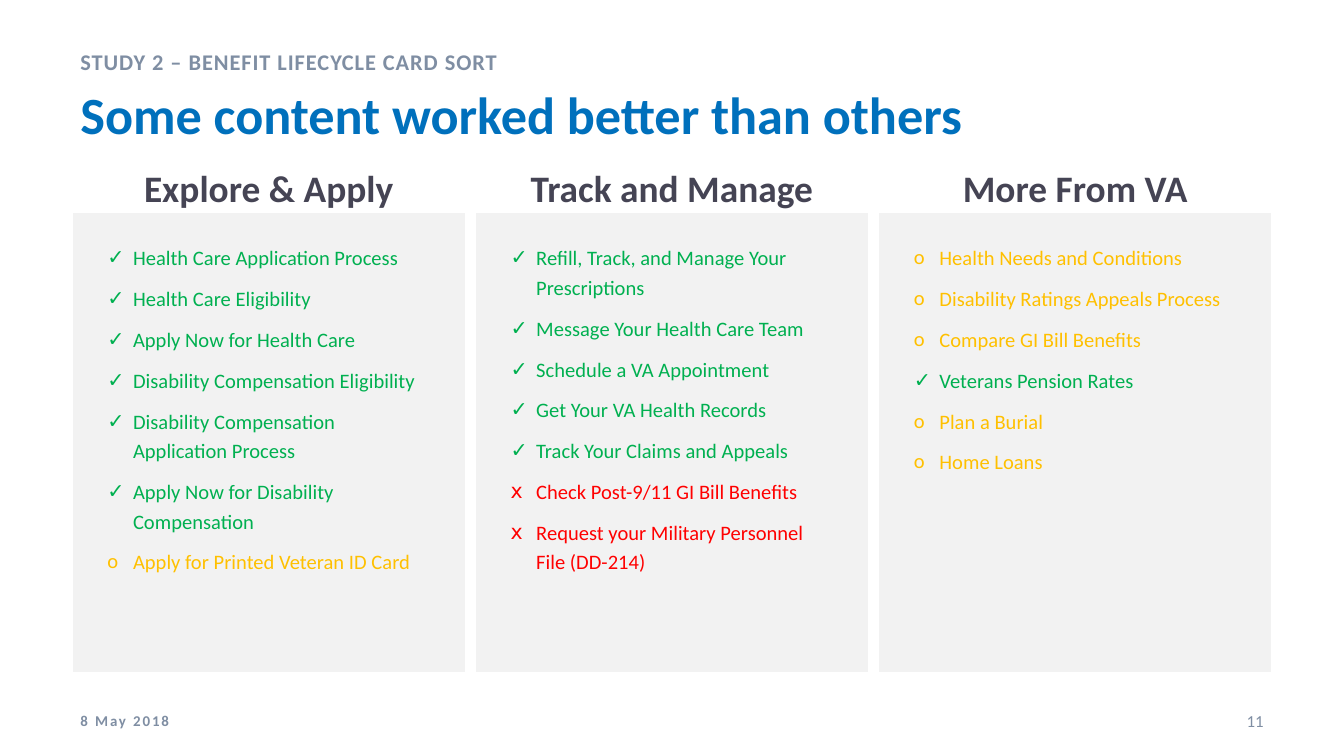
from dataclasses import dataclass
from enum import Enum
from typing import Optional

from lxml.etree import SubElement
from pptx import Presentation
from pptx.dml.color import RGBColor
from pptx.enum.shapes import MSO_SHAPE
from pptx.enum.text import MSO_ANCHOR, PP_ALIGN
from pptx.oxml.ns import qn
from pptx.util import Inches, Pt

FONT = "Calibri"
COLORS = {
    "title": "0070BC", "heading": "454454", "muted": "7F8EA3",
    "panel": "F2F2F2", "white": "FFFFFF",
    "green": "00B050", "amber": "FFC000", "red": "FF0000",
}

# Grid in inches on a 16:9 slide: three equal columns between the side margins
WIDTH, MARGIN = 10, 0.5
HEIGHT = WIDTH * 9 / 16
COL = (WIDTH - 2 * MARGIN) / 3
HEAD_TOP, PANEL_TOP, FOOT_TOP = 1.15, 1.54, 5.21
INDENT = 0.19


class Result(Enum):
    """Bullet mark and colour of a card."""
    GOOD = ("✓", "green")
    MIXED = ("o", "amber")
    BAD = ("ⅹ", "red")


@dataclass
class Group:
    heading: str
    cards: list[tuple[Result, str]]


GOOD, MIXED, BAD = Result.GOOD, Result.MIXED, Result.BAD
GROUPS = [
    Group("Explore & Apply", [
        (GOOD, "Health Care Application Process"),
        (GOOD, "Health Care Eligibility"),
        (GOOD, "Apply Now for Health Care"),
        (GOOD, "Disability Compensation Eligibility"),
        (GOOD, "Disability Compensation Application Process"),
        (GOOD, "Apply Now for Disability Compensation"),
        (MIXED, "Apply for Printed Veteran ID Card"),
    ]),
    Group("Track and Manage", [
        (GOOD, "Refill, Track, and Manage Your Prescriptions"),
        (GOOD, "Message Your Health Care Team"),
        (GOOD, "Schedule a VA Appointment"),
        (GOOD, "Get Your VA Health Records"),
        (GOOD, "Track Your Claims and Appeals"),
        (BAD, "Check Post-9/11 GI Bill Benefits"),
        (BAD, "Request your Military Personnel File (DD-214)"),
    ]),
    Group("More From VA", [
        (MIXED, "Health Needs and Conditions"),
        (MIXED, "Disability Ratings Appeals Process"),
        (MIXED, "Compare GI Bill Benefits"),
        (GOOD, "Veterans Pension Rates"),
        (MIXED, "Plan a Burial"),
        (MIXED, "Home Loans"),
    ]),
]


def rgb(name: str) -> RGBColor:
    return RGBColor.from_string(COLORS[name])


def write(p, text: str, *, size: float, color: str, bold: bool = False,
          align=PP_ALIGN.LEFT, line: float = 1.0, after: float = 0,
          tracking: float = 0, bullet: Optional[str] = None) -> None:
    """Fill one paragraph with a formatted run."""
    p.alignment, p.line_spacing, p.space_after = align, line, Pt(after)
    if bullet:
        pPr = p._p.get_or_add_pPr()
        pPr.set("marL", str(Inches(INDENT)))
        pPr.set("indent", str(-Inches(INDENT)))
        SubElement(pPr, qn("a:buFont")).set("typeface", FONT)
        SubElement(pPr, qn("a:buChar")).set("char", bullet)
    r = p.add_run()
    r.text = text
    r.font.name, r.font.size, r.font.bold = FONT, Pt(size), bold
    r.font.color.rgb = rgb(color)
    if tracking:
        r._r.get_or_add_rPr().set("spc", str(int(tracking * 100)))


def add_text(s, text: str, x: float, y: float, w: float, h: float,
             anchor=MSO_ANCHOR.TOP, **fmt) -> None:
    tf = s.shapes.add_textbox(Inches(x), Inches(y), Inches(w), Inches(h)).text_frame
    tf.word_wrap, tf.vertical_anchor = True, anchor
    write(tf.paragraphs[0], text, **fmt)


def add_group(s, group: Group, column: int) -> None:
    """Draw a card panel with its heading above."""
    x = MARGIN + column * COL
    sp = s.shapes.add_shape(MSO_SHAPE.RECTANGLE, Inches(x), Inches(PANEL_TOP),
                            Inches(COL), Inches(3.5))
    sp.shadow.inherit = False
    sp.fill.solid()
    sp.fill.fore_color.rgb = rgb("panel")
    sp.line.color.rgb = rgb("white")
    sp.line.width = Pt(6)
    tf = sp.text_frame
    tf.word_wrap, tf.vertical_anchor = True, MSO_ANCHOR.TOP
    tf.margin_left = tf.margin_right = Inches(0.3)
    tf.margin_top = tf.margin_bottom = Inches(0.25)
    for i, (result, text) in enumerate(group.cards):
        mark, color = result.value
        p = tf.add_paragraph() if i else tf.paragraphs[0]
        write(p, text, size=11, color=color, line=1.2, after=6, bullet=mark)
    add_text(s, group.heading, x, HEAD_TOP, COL, 0.49, size=20, color="heading",
             bold=True, align=PP_ALIGN.CENTER, line=1.1, after=6)


def main() -> None:
    prs = Presentation()
    prs.slide_width, prs.slide_height = Inches(WIDTH), Inches(HEIGHT)
    s = prs.slides.add_slide(prs.slide_layouts[6])

    # Title area
    add_text(s, "STUDY 2 – BENEFIT LIFECYCLE CARD SORT", MARGIN, 0.27, 8.25, 0.29,
             size=12, color="muted", bold=True, line=1.2, after=6, tracking=0.5)
    add_text(s, "Some content worked better than others", MARGIN, 0.56, 8.25, 0.69,
             size=28, color="title", bold=True)

    # Card groups
    for column, group in enumerate(GROUPS):
        add_group(s, group, column)

    # Footer
    add_text(s, "8 May 2018", MARGIN, FOOT_TOP, 2.25, 0.3, MSO_ANCHOR.MIDDLE,
             size=8, color="muted", bold=True, tracking=1)
    add_text(s, "11", WIDTH - MARGIN - 0.75, FOOT_TOP, 0.75, 0.3, MSO_ANCHOR.MIDDLE,
             size=9, color="muted", align=PP_ALIGN.RIGHT)

    prs.save("out.pptx")


if __name__ == "__main__":
    main()
